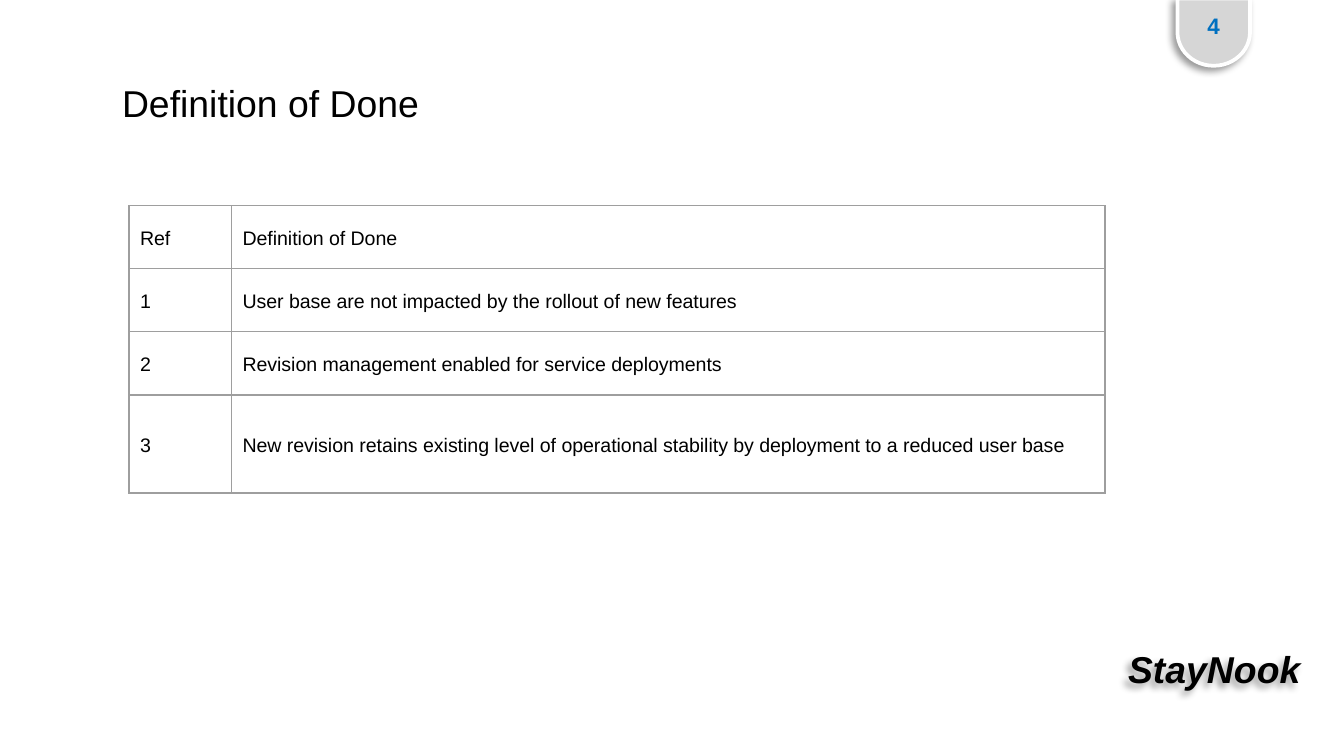
from dataclasses import dataclass

from lxml import etree
from pptx import Presentation
from pptx.dml.color import RGBColor
from pptx.enum.shapes import MSO_SHAPE
from pptx.enum.text import MSO_ANCHOR, PP_ALIGN
from pptx.oxml.ns import qn
from pptx.shapes.autoshape import Shape
from pptx.slide import Slide
from pptx.table import _Cell
from pptx.util import Pt

LEFT, CENTER = PP_ALIGN.LEFT, PP_ALIGN.CENTER
MIDDLE = MSO_ANCHOR.MIDDLE
DELAY = MSO_SHAPE.FLOWCHART_DELAY

BLACK = RGBColor(0x00, 0x00, 0x00)
WHITE = RGBColor(0xFF, 0xFF, 0xFF)
BLUE = RGBColor(0x00, 0x70, 0xC0)
TAB_GREY = RGBColor(0xD6, 0xD6, 0xD6)
BORDER_GREY = RGBColor(0x9E, 0x9E, 0x9E)

FONT = "Arial"
COLUMN_WIDTHS = (54.9, 468)
ROW_HEIGHTS = (33.8, 33.8, 33.8, 52.6)
DONE_CRITERIA = (
    ("Ref", "Definition of Done"),
    ("1", "User base are not impacted by the rollout of new features"),
    ("2", "Revision management enabled for service deployments"),
    ("3", "New revision retains existing level of operational stability "
          "by deployment to a reduced user base"),
)


@dataclass(frozen=True)
class Label:
    """Text with its box in points and its styling."""

    text: str
    left: float
    top: float
    width: float
    height: float
    size: float
    color: RGBColor = BLACK
    bold: bool = False
    italic: bool = False
    align: PP_ALIGN = LEFT
    inset: float = 7.2
    wrap: bool = True
    shadow: bool = False


TITLE = Label("Definition of Done", 58.3, 39.6, 175, 31.7, 20, inset=3.6, wrap=False)
PAGE_NUMBER = Label("4", 636.5, -0.7, 27.4, 28.8, 12, BLUE, bold=True, align=CENTER)
PRODUCT = Label("StayNook", 596.9, 339.1, 107.3, 38.9, 20, bold=True, italic=True,
                align=CENTER, wrap=False, shadow=True)


def add_shadow(shape: Shape) -> None:
    """Cast a soft shadow down and to the left."""
    shape.shadow.inherit = False
    effects = shape._element.spPr.find(qn("a:effectLst"))
    outer = etree.SubElement(effects, qn("a:outerShdw"), blurRad=str(Pt(4)),
                             dist=str(Pt(3)), dir="8100000", algn="tr", rotWithShape="0")
    color = etree.SubElement(outer, qn("a:srgbClr"), val=str(BLACK))
    etree.SubElement(color, qn("a:alpha"), val="40000")


def add_label(slide: Slide, label: Label) -> None:
    """Draw one label as a text box."""
    box = slide.shapes.add_textbox(Pt(label.left), Pt(label.top),
                                   Pt(label.width), Pt(label.height))
    frame = box.text_frame
    frame.word_wrap = label.wrap
    frame.margin_left = frame.margin_right = Pt(7.2)
    frame.margin_top = frame.margin_bottom = Pt(label.inset)
    paragraph = frame.paragraphs[0]
    paragraph.text = label.text
    paragraph.alignment = label.align
    font = paragraph.font
    font.name, font.size = FONT, Pt(label.size)
    font.bold, font.italic = label.bold, label.italic
    font.color.rgb = label.color
    if label.shadow:
        add_shadow(box)


def add_page_tab(slide: Slide) -> None:
    """Draw the rounded tab hanging from the top edge."""
    tab = slide.shapes.add_shape(DELAY, Pt(632.2), Pt(-2.2), Pt(36), Pt(38.9))
    tab.rotation = 90
    tab.fill.solid()
    tab.fill.fore_color.rgb = TAB_GREY
    tab.line.color.rgb = WHITE
    tab.line.width = Pt(2)
    add_shadow(tab)


def add_borders(cell: _Cell) -> None:
    """Outline a cell with thin grey lines."""
    properties = cell._tc.get_or_add_tcPr()
    for position, side in enumerate(("a:lnL", "a:lnR", "a:lnT", "a:lnB")):
        line = etree.Element(qn(side), w=str(Pt(0.75)))
        fill = etree.SubElement(line, qn("a:solidFill"))
        etree.SubElement(fill, qn("a:srgbClr"), val=str(BORDER_GREY))
        properties.insert(position, line)


def fill_cell(cell: _Cell, text: str) -> None:
    """Write and style one table cell."""
    cell.fill.background()
    cell.vertical_anchor = MIDDLE
    cell.margin_left = cell.margin_right = Pt(6)
    cell.margin_top = cell.margin_bottom = Pt(6)
    paragraph = cell.text_frame.paragraphs[0]
    paragraph.text = text
    paragraph.line_spacing = 1.15
    font = paragraph.font
    font.name, font.size, font.bold = FONT, Pt(10.5), False
    font.color.rgb = BLACK
    add_borders(cell)


def add_criteria_table(slide: Slide) -> None:
    """Draw the table of completion criteria."""
    table = slide.shapes.add_table(
        len(ROW_HEIGHTS), len(COLUMN_WIDTHS), Pt(69.1), Pt(110.2),
        Pt(sum(COLUMN_WIDTHS)), Pt(sum(ROW_HEIGHTS))).table
    table.first_row = table.horz_banding = False
    for column, width in zip(table.columns, COLUMN_WIDTHS):
        column.width = Pt(width)
    for row, height, texts in zip(table.rows, ROW_HEIGHTS, DONE_CRITERIA):
        row.height = Pt(height)
        for cell, text in zip(row.cells, texts):
            fill_cell(cell, text)


def main() -> None:
    """Build the slide and save it."""
    presentation = Presentation()
    presentation.slide_width, presentation.slide_height = Pt(720), Pt(405)
    slide = presentation.slides.add_slide(presentation.slide_layouts[6])
    add_label(slide, TITLE)
    add_page_tab(slide)
    add_label(slide, PAGE_NUMBER)
    add_label(slide, PRODUCT)
    add_criteria_table(slide)
    presentation.save("out.pptx")


if __name__ == "__main__":
    main()
